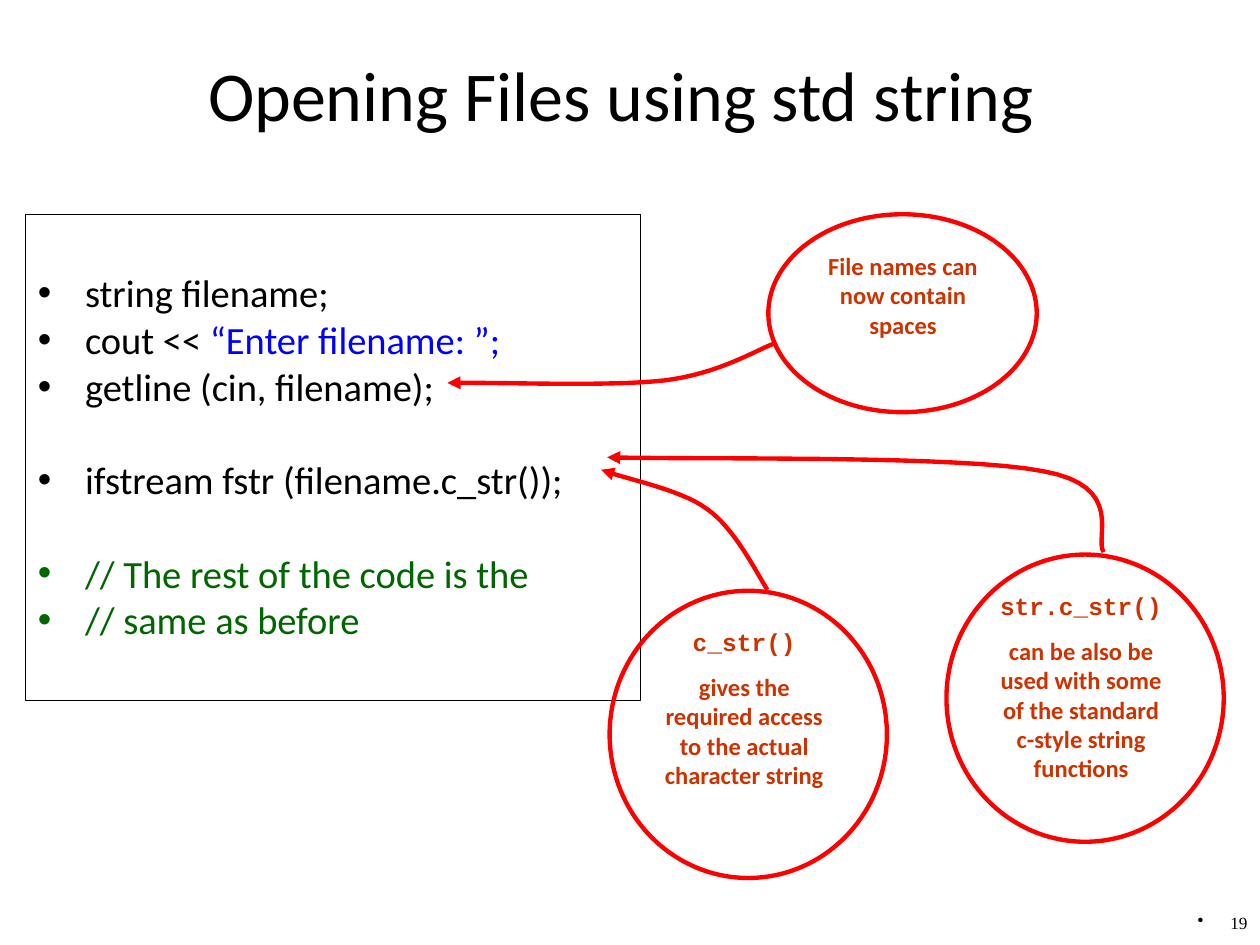
import pptx
import pptx.util
import pptx.dml.color
import pptx.enum.shapes
import pptx.enum.text
import pptx.oxml.ns
import lxml.etree

Cm = pptx.util.Cm
Pt = pptx.util.Pt
RGBColor = pptx.dml.color.RGBColor
Align = pptx.enum.text.PP_ALIGN
Anchor = pptx.enum.text.MSO_ANCHOR
qn = pptx.oxml.ns.qn

BLACK = RGBColor(0x00, 0x00, 0x00)
WHITE = RGBColor(0xFF, 0xFF, 0xFF)
RED = RGBColor(0xFF, 0x00, 0x00)
RUST = RGBColor(0xCC, 0x33, 0x00)
BLUE = RGBColor(0x00, 0x00, 0xFF)
GREEN = RGBColor(0x00, 0x66, 0x00)

TITLE = "Opening Files using std string"
PAGE_NUMBER = "19"

CODE_GROUPS = [
    [
        [("string filename;", BLACK)],
        [("cout << ", BLACK), ("“Enter filename: ”;", BLUE)],
        [("getline (cin, filename);", BLACK)],
    ],
    [[("ifstream fstr (filename.c_str());", BLACK)]],
    [
        [("// The rest of the code is the", GREEN)],
        [("// same as before", GREEN)],
    ],
]
CODE_LINE = 21.2
CODE_GAP = 5.5

CALLOUTS = [
    {
        "ellipse": (15.49, 4.32, 5.41, 3.99),
        "lines": [("File names can now contain spaces", "Calibri")],
        "curve": [(15.6, 6.93), (15.24, 7.06), (14.48, 7.54), (13.39, 7.67),
                  (12.26, 7.8), (9.93, 7.7), (9.02, 7.72)],
    },
    {
        "ellipse": (12.29, 11.91, 5.59, 5.79),
        "lines": [("c_str()", "Courier New"),
                  ("gives the required access to the actual character string", "Calibri")],
        "curve": [(15.47, 11.89), (15.27, 11.58), (14.81, 10.64), (14.25, 10.26),
                  (13.72, 9.86), (12.57, 9.65), (12.12, 9.47)],
    },
    {
        "ellipse": (19.08, 11.18, 5.59, 5.79),
        "lines": [("str.c_str()", "Courier New"),
                  ("can be also be used with some of the standard c-style string functions",
                   "Calibri")],
        "curve": [(22.25, 11.13), (22.05, 10.85), (22.71, 9.8), (21.03, 9.5),
                  (19.38, 9.17), (14.07, 9.27), (12.24, 9.22)],
    },
]
CURVE_STEPS = 16


def write(paragraph, text, size=14, font="Calibri", color=BLACK, bold=False,
          align=None, before=None, spacing=None):
    run = paragraph.add_run()
    run.text = text
    run.font.size = Pt(size)
    run.font.name = font
    run.font.color.rgb = color
    run.font.bold = bold
    paragraph.alignment = align
    if before is not None:
        paragraph.space_before = Pt(before)
    paragraph.line_spacing = spacing


def place(shape, left, top, width, height):
    shape.left, shape.top = Cm(left), Cm(top)
    shape.width, shape.height = Cm(width), Cm(height)


def prepare(frame, anchor=Anchor.TOP):
    frame.word_wrap = True
    frame.auto_size = pptx.enum.text.MSO_AUTO_SIZE.NONE
    frame.vertical_anchor = anchor


def next_paragraph(frame, index):
    return frame.add_paragraph() if index else frame.paragraphs[0]


def set_indent(paragraph, indent):
    properties = paragraph._p.get_or_add_pPr()
    properties.set("marL", str(Cm(indent)))
    properties.set("indent", str(-Cm(indent)))
    return properties


def outline(shape):
    shape.shadow.inherit = False
    shape.fill.background()
    shape.line.color.rgb = RED
    shape.line.width = Pt(2.5)


def curve_points(points):
    for start in range(0, len(points) - 1, 3):
        a, b, c, d = points[start:start + 4]
        for step in range(1, CURVE_STEPS + 1):
            t = step / CURVE_STEPS
            u = 1 - t
            yield tuple(
                Cm(u**3 * a[i] + 3 * u * u * t * b[i] + 3 * u * t * t * c[i] + t**3 * d[i])
                for i in (0, 1))


def add_title(slide):
    title = slide.shapes.title
    place(title, 1.09, 0.91, 22.86, 1.96)
    title.fill.solid()
    title.fill.fore_color.rgb = WHITE
    prepare(title.text_frame, Anchor.MIDDLE)
    write(title.text_frame.paragraphs[0], TITLE, size=40, align=Align.CENTER)


def add_code(slide):
    body = slide.placeholders[1]
    place(body, 0.51, 4.32, 12.4, 9.8)
    body.line.color.rgb = BLACK
    body.line.width = Pt(0.75)
    frame = body.text_frame
    prepare(frame)
    frame.margin_top = Cm(1.29)
    count = 0
    for group in CODE_GROUPS:
        for position, runs in enumerate(group):
            paragraph = next_paragraph(frame, count)
            starts_group = count and position == 0
            before = 2 * CODE_GAP + CODE_LINE if starts_group else CODE_GAP
            for text, color in runs:
                write(paragraph, text, size=22, color=color, align=Align.LEFT,
                      before=before if count else 0, spacing=Pt(CODE_LINE))
            set_indent(paragraph, 0.95)
            count += 1


def add_callout(slide, callout):
    left, top, width, height = callout["ellipse"]
    ellipse = slide.shapes.add_shape(pptx.enum.shapes.MSO_SHAPE.OVAL, 0, 0, 0, 0)
    place(ellipse, left, top, width, height)
    outline(ellipse)

    curve = callout["curve"]
    builder = slide.shapes.build_freeform(Cm(curve[0][0]), Cm(curve[0][1]))
    builder.add_line_segments(list(curve_points(curve)), close=False)
    arrow = builder.convert_to_shape()
    outline(arrow)
    line = arrow._element.spPr.find(qn("a:ln"))
    lxml.etree.SubElement(line, qn("a:tailEnd"), type="triangle")

    label = slide.shapes.add_textbox(0, 0, 0, 0)
    place(label, left + 0.81, top + 0.61, 3.81, height - 1.2)
    prepare(label.text_frame)
    for index, (text, font) in enumerate(callout["lines"]):
        write(next_paragraph(label.text_frame, index), text, font=font, color=RUST,
              bold=True, align=Align.CENTER, before=8.8)


def add_page_number(slide):
    box = slide.shapes.add_textbox(0, 0, 0, 0)
    place(box, 23.16, 18.34, 2.24, 0.71)
    prepare(box.text_frame)
    paragraph = box.text_frame.paragraphs[0]
    write(paragraph, PAGE_NUMBER, size=9.8, font="Times New Roman",
          align=Align.RIGHT, spacing=0.8)
    properties = set_indent(paragraph, 0.66)
    lxml.etree.SubElement(properties, qn("a:buChar"), char="•")


def main():
    presentation = pptx.Presentation()
    presentation.slide_width, presentation.slide_height = Cm(25.4), Cm(19.05)
    slide = presentation.slides.add_slide(presentation.slide_layouts[1])
    add_title(slide)
    add_code(slide)
    add_page_number(slide)
    for callout in CALLOUTS:
        add_callout(slide, callout)
    presentation.save("out.pptx")


if __name__ == "__main__":
    main()
